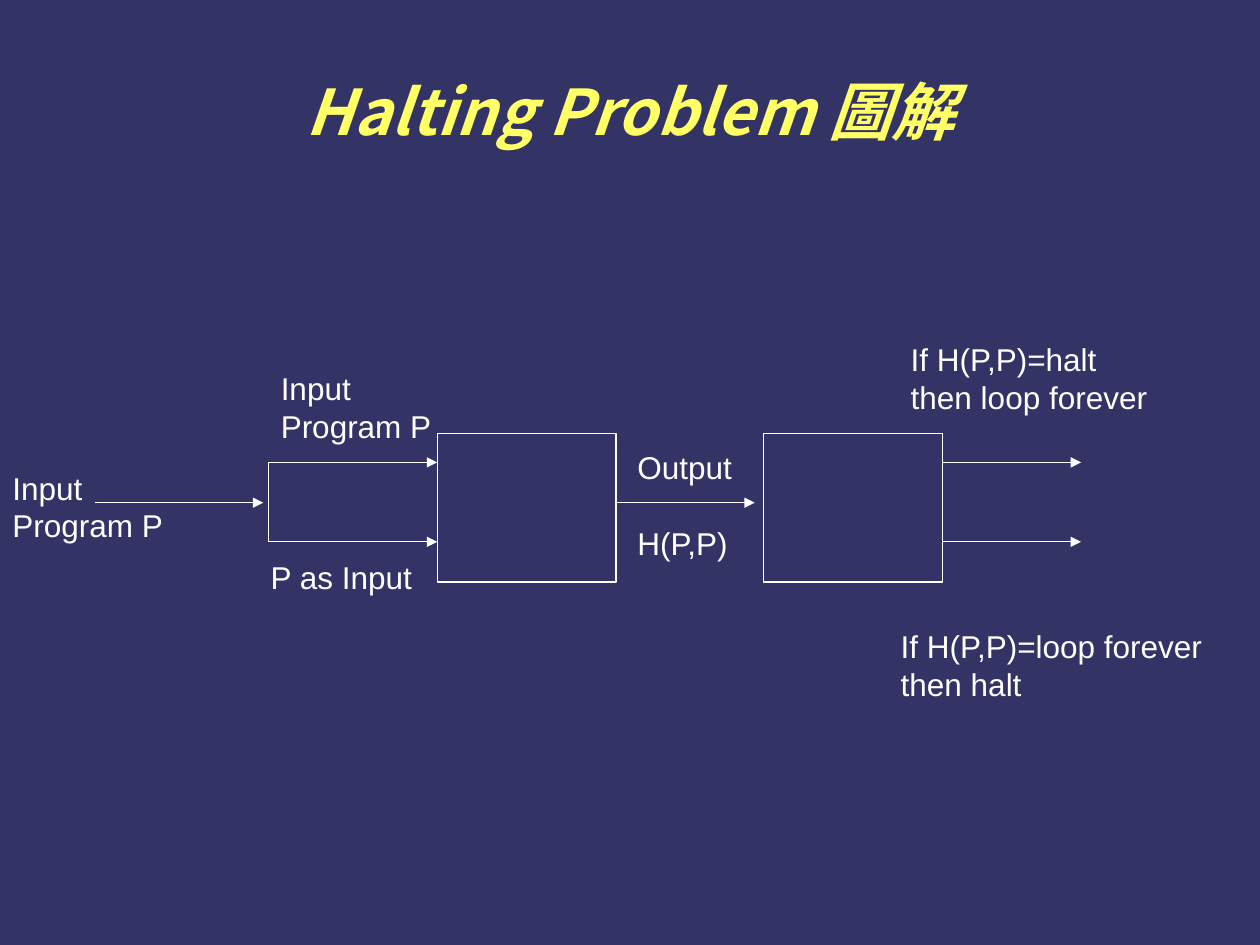
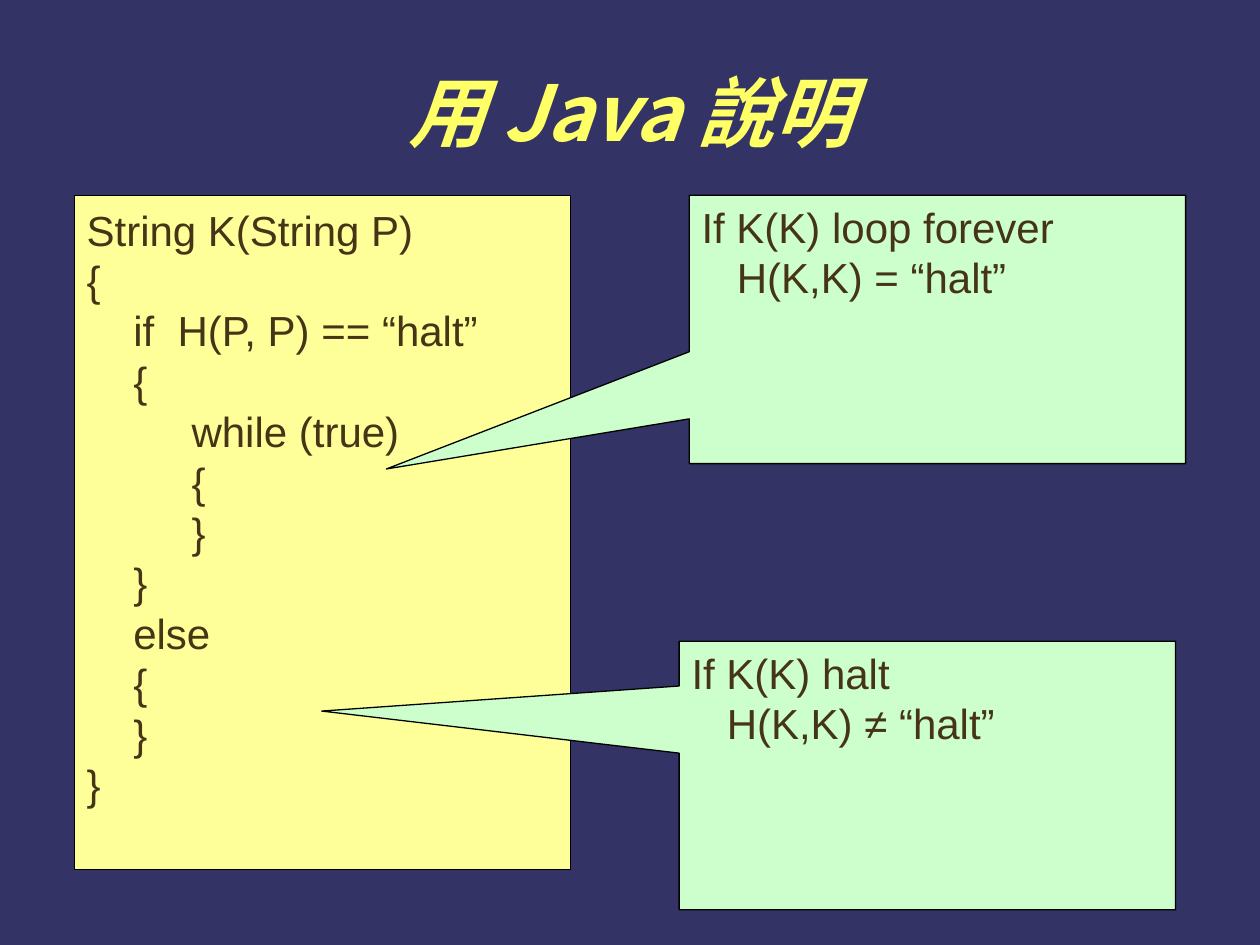
"""Build two slides that explain the halting problem."""
from dataclasses import dataclass

import pptx
import pptx.dml.color
import pptx.enum.shapes
import pptx.enum.text
import pptx.oxml.ns
import pptx.presentation
import pptx.shapes.autoshape
import pptx.slide
import pptx.text.text
import pptx.util
from lxml import etree
from pptx.util import Inches

NAVY = "333366"
YELLOW = "FFFF66"
PALE_YELLOW = "FFFF99"
PALE_GREEN = "CCFFCC"
BROWN = "463416"
WHITE = "FFFFFF"
BLACK = "000000"
BODY_FONT = "Arial"
TITLE_FONT = "Noto Sans CJK SC"
LINE_HEIGHT = 1.2
LINE_WIDTH = 0.75
LABEL_SIZE = 18
CODE_SIZE = 24

STAGE_TOP, STAGE_WIDTH, STAGE_HEIGHT = 3.44, 1.42, 1.18
STAGE_LEFTS = (3.47, 6.06)
UPPER, MIDDLE, LOWER = 3.67, 3.99, 4.3
FORK = 2.13
PANEL_WIDTH = 3.94
CALLOUT_HEIGHT = 2.13


@dataclass(frozen=True)
class Label:
    """Text beside the diagram."""

    left: float
    top: float
    width: float
    height: float
    lines: tuple[str, ...]
    gap: float = 0


@dataclass(frozen=True)
class Wire:
    """A straight line of the diagram."""

    start: tuple[float, float]
    end: tuple[float, float]
    arrow: bool = True


@dataclass(frozen=True)
class Callout:
    """A remark that points at the code."""

    left: float
    top: float
    pointer: tuple[float, float]
    condition: str
    result: str


LABELS = (
    Label(0, 3.67, 1.39, 0.7, ("Input", "Program P")),
    Label(FORK, 2.88, 1.39, 0.7, ("Input", "Program P")),
    Label(2.05, 4.38, 1.32, 0.4, ("P as Input",)),
    Label(4.96, 3.51, 0.95, 1, ("Output", "H(P,P)"), LABEL_SIZE * LINE_HEIGHT),
    Label(7.13, 2.65, 2.07, 0.7, ("If H(P,P)=halt", "then loop forever")),
    Label(7.05, 4.93, 2.62, 0.7, ("If H(P,P)=loop forever", "then halt")),
)

WIRES = (
    Wire((0.75, MIDDLE), (2.09, MIDDLE)),
    Wire((FORK, UPPER), (FORK, LOWER), arrow=False),
    Wire((4.88, MIDDLE), (5.99, MIDDLE)),
    *(
        Wire((start, height), (end, height))
        for start, end in ((FORK, 3.47), (7.48, 8.58))
        for height in (UPPER, LOWER)
    ),
)

CALLOUTS = (
    Callout(5.47, 1.55, (-1.11, 0.52), "If K(K) loop forever", "H(K,K) = “halt”"),
    Callout(5.39, 5.09, (-1.22, -0.24), "If K(K) halt", "H(K,K) ≠ “halt”"),
)

CODE = """String K(String P)
{
    if  H(P, P) == “halt”
    {
         while (true)
         {
         }
    }
    else
    {
    }
}"""


def rgb(color: str) -> pptx.dml.color.RGBColor:
    """Turn a hex string into a colour."""
    return pptx.dml.color.RGBColor.from_string(color)


def write_lines(
    frame: pptx.text.text.TextFrame, text: str, size: float, color: str
) -> None:
    """Fill a frame with left-aligned lines of body text."""
    frame.text = text
    frame.word_wrap = True
    frame.vertical_anchor = pptx.enum.text.MSO_ANCHOR.TOP
    for paragraph in frame.paragraphs:
        paragraph.alignment = pptx.enum.text.PP_ALIGN.LEFT
        paragraph.line_spacing = pptx.util.Pt(size * LINE_HEIGHT)
        for run in paragraph.runs:
            run.font.name = BODY_FONT
            run.font.size = pptx.util.Pt(size)
            run.font.color.rgb = rgb(color)


def add_titled_slide(
    presentation: pptx.presentation.Presentation, text: str, size: float
) -> pptx.slide.Slide:
    """Add a slide with the shared title style."""
    slide = presentation.slides.add_slide(presentation.slide_layouts[5])
    title = slide.shapes.title
    title.left, title.top = Inches(0.5), Inches(0.25)
    title.width, title.height = Inches(9), Inches(1.25)
    title.text_frame.text = text
    title.text_frame.vertical_anchor = pptx.enum.text.MSO_ANCHOR.MIDDLE
    paragraph = title.text_frame.paragraphs[0]
    paragraph.alignment = pptx.enum.text.PP_ALIGN.CENTER
    font = paragraph.runs[0].font
    font.name, font.size = TITLE_FONT, pptx.util.Pt(size)
    font.bold = font.italic = True
    font.color.rgb = rgb(YELLOW)
    properties = paragraph.runs[0]._r.get_or_add_rPr()
    east_asian = etree.SubElement(properties, pptx.oxml.ns.qn("a:ea"))
    east_asian.set("typeface", TITLE_FONT)
    return slide


def add_panel(
    slide: pptx.slide.Slide,
    kind: pptx.enum.shapes.MSO_SHAPE,
    box: tuple[float, float, float, float],
    line: str,
    fill: str | None = None,
) -> pptx.shapes.autoshape.Shape:
    """Add an outlined shape, filled when a colour is given."""
    shape = slide.shapes.add_shape(kind, *map(Inches, box))
    shape.shadow.inherit = False
    shape.line.color.rgb = rgb(line)
    shape.line.width = pptx.util.Pt(LINE_WIDTH)
    if fill:
        shape.fill.solid()
        shape.fill.fore_color.rgb = rgb(fill)
    else:
        shape.fill.background()
    return shape


def add_wire(slide: pptx.slide.Slide, wire: Wire) -> None:
    """Draw a line, with an arrowhead when it has one."""
    connector = slide.shapes.add_connector(
        pptx.enum.shapes.MSO_CONNECTOR.STRAIGHT,
        *map(Inches, wire.start + wire.end),
    )
    connector.line.color.rgb = rgb(WHITE)
    connector.line.width = pptx.util.Pt(LINE_WIDTH)
    if wire.arrow:
        outline = connector.line._get_or_add_ln()
        etree.SubElement(outline, pptx.oxml.ns.qn("a:tailEnd")).set("type", "triangle")
    etree.SubElement(connector._element.spPr, pptx.oxml.ns.qn("a:effectLst"))


def add_label(slide: pptx.slide.Slide, label: Label) -> None:
    """Place a text label on the diagram."""
    box = slide.shapes.add_textbox(
        *map(Inches, (label.left, label.top, label.width, label.height))
    )
    write_lines(box.text_frame, "\n".join(label.lines), LABEL_SIZE, WHITE)
    box.text_frame.margin_right = 0
    for paragraph in box.text_frame.paragraphs[1:]:
        paragraph.space_before = pptx.util.Pt(label.gap)


def add_callout(slide: pptx.slide.Slide, callout: Callout) -> None:
    """Draw a remark with its pointer and indented result."""
    shape = add_panel(
        slide,
        pptx.enum.shapes.MSO_SHAPE.RECTANGULAR_CALLOUT,
        (callout.left, callout.top, PANEL_WIDTH, CALLOUT_HEIGHT),
        BLACK,
        PALE_GREEN,
    )
    for index, offset in enumerate(callout.pointer):
        shape.adjustments[index] = offset
    write_lines(
        shape.text_frame, f"{callout.condition}\n{callout.result}", CODE_SIZE, BROWN
    )
    result = shape.text_frame.paragraphs[1]
    result._p.get_or_add_pPr().set("marL", str(Inches(0.28)))


def build_diagram_slide(presentation: pptx.presentation.Presentation) -> None:
    """Show the halting problem as a flow of boxes."""
    slide = add_titled_slide(presentation, "Halting Problem 圖解", 36)
    for left in STAGE_LEFTS:
        add_panel(
            slide,
            pptx.enum.shapes.MSO_SHAPE.RECTANGLE,
            (left, STAGE_TOP, STAGE_WIDTH, STAGE_HEIGHT),
            WHITE,
        )
    for wire in WIRES:
        add_wire(slide, wire)
    for label in LABELS:
        add_label(slide, label)


def build_code_slide(presentation: pptx.presentation.Presentation) -> None:
    """Show the program K and the two contradictions."""
    slide = add_titled_slide(presentation, "用 Java 說明", 44)
    code_panel = add_panel(
        slide,
        pptx.enum.shapes.MSO_SHAPE.RECTANGLE,
        (0.59, 1.55, PANEL_WIDTH, 5.35),
        BLACK,
        PALE_YELLOW,
    )
    write_lines(code_panel.text_frame, CODE, CODE_SIZE, BROWN)
    code_panel.text_frame.margin_top = Inches(0.07)
    for callout in CALLOUTS:
        add_callout(slide, callout)


def main() -> None:
    """Build and save the presentation."""
    presentation = pptx.Presentation()
    presentation.slide_width = Inches(10)
    presentation.slide_height = Inches(7.5)
    background = presentation.slide_master.background.fill
    background.solid()
    background.fore_color.rgb = rgb(NAVY)
    build_diagram_slide(presentation)
    build_code_slide(presentation)
    presentation.save("out.pptx")


if __name__ == "__main__":
    main()
